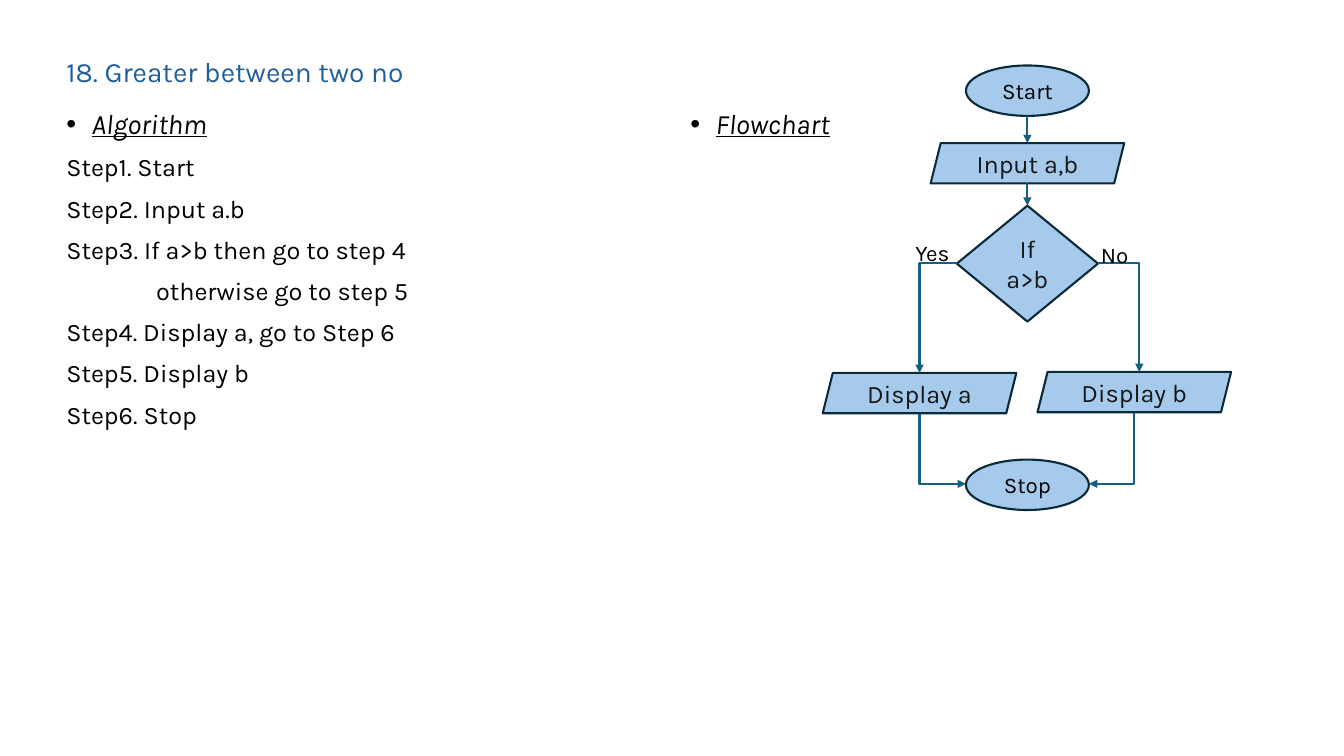
from dataclasses import dataclass

from lxml.etree import SubElement
from pptx import Presentation
from pptx.dml.color import RGBColor
from pptx.enum.shapes import MSO_CONNECTOR as Link, MSO_SHAPE as Shape
from pptx.enum.text import MSO_ANCHOR as Anchor, PP_ALIGN as Align
from pptx.oxml.ns import qn
from pptx.util import Inches, Pt


@dataclass(frozen=True)
class Theme:
    font: str = "Karla"
    title: str = "215F9A"
    text: str = "000000"
    node_text: str = "171717"
    fill: str = "A6CAEC"
    outline: str = "092A39"
    arrow: str = "156082"
    heading_size: int = 20
    body_size: int = 18
    label_size: int = 16
    line_width: float = 1.5


class FlowSlide:
    def __init__(self, slide, theme):
        self.slide = slide
        self.theme = theme

    def add_span(self, para, text, size, color, emphasis=False):
        span = para.add_run()
        span.text = text
        font = span.font
        font.name, font.size = self.theme.font, Pt(size)
        font.color.rgb = RGBColor.from_string(color)
        if emphasis:
            font.italic = font.underline = True

    def text_box(self, left, top, width, height, anchor=Anchor.TOP):
        box = self.slide.shapes.add_textbox(*map(Inches, (left, top, width, height)))
        frame = box.text_frame
        frame.word_wrap = True
        frame.vertical_anchor = anchor
        return frame

    def title(self, text, *place):
        para = self.text_box(*place, anchor=Anchor.MIDDLE).paragraphs[0]
        para.line_spacing = 0.9
        self.add_span(para, text, self.theme.heading_size, self.theme.title)

    def column(self, heading, steps, *place):
        """Bulleted heading above (text, left indent) steps."""
        frame = self.text_box(*place)
        para = frame.paragraphs[0]
        props = para._p.get_or_add_pPr()
        props.set("marL", str(Inches(0.25)))
        props.set("indent", str(Inches(-0.25)))
        SubElement(props, qn("a:buFont")).set("typeface", "Arial")
        SubElement(props, qn("a:buChar")).set("char", "•")
        para.line_spacing = 0.9
        self.add_span(para, heading, self.theme.heading_size, self.theme.text, emphasis=True)
        for text, indent in steps:
            para = frame.add_paragraph()
            para._p.get_or_add_pPr().set("marL", str(Inches(indent)))
            para.line_spacing = 0.9
            para.space_before = Pt(10)
            self.add_span(para, text, self.theme.body_size, self.theme.text)

    def label(self, text, *place):
        para = self.text_box(*place).paragraphs[0]
        self.add_span(para, text, self.theme.label_size, self.theme.text)

    def node(self, kind, text, left, top, width, height):
        theme = self.theme
        node = self.slide.shapes.add_shape(kind, *map(Inches, (left, top, width, height)))
        node.shadow.inherit = False
        node.fill.solid()
        node.fill.fore_color.rgb = RGBColor.from_string(theme.fill)
        node.line.color.rgb = RGBColor.from_string(theme.outline)
        node.line.width = Pt(theme.line_width)
        frame = node.text_frame
        frame.word_wrap = True
        frame.vertical_anchor = Anchor.MIDDLE
        para = frame.paragraphs[0]
        para.alignment = Align.CENTER
        if kind == Shape.OVAL:
            self.add_span(para, text, theme.label_size, theme.text)
        else:
            self.add_span(para, text, theme.body_size, theme.node_text)
        return node

    def arrow(self, start, end, kind=Link.STRAIGHT):
        arrow = self.slide.shapes.add_connector(kind, *map(Inches, (*start, *end)))
        arrow.line.color.rgb = RGBColor.from_string(self.theme.arrow)
        arrow.line.width = Pt(self.theme.line_width)
        properties = arrow._element.spPr
        SubElement(properties.find(qn("a:ln")), qn("a:tailEnd")).set("type", "triangle")
        SubElement(properties, qn("a:effectLst"))
        return arrow

    def elbow(self, start, end, turn=0, flip=None):
        """One-corner arrow; its unrotated frame is centred between the ends."""
        (x1, y1), (x2, y2) = start, end
        width, height = abs(x2 - x1), abs(y2 - y1)
        if turn in (90, 270):
            width, height = height, width
        left, top = (x1 + x2 - width) / 2, (y1 + y2 - height) / 2
        arrow = self.arrow((left, top), (left + width, top + height), Link.ELBOW)
        properties = arrow._element.spPr
        properties.find(qn("a:prstGeom")).set("prst", "bentConnector2")
        frame = properties.find(qn("a:xfrm"))
        if turn:
            frame.set("rot", str(turn * 60000))
        if flip:
            frame.set(flip, "1")


def main():
    deck = Presentation()
    deck.slide_width, deck.slide_height = Inches(13.33), Inches(7.5)
    page = FlowSlide(deck.slides.add_slide(deck.slide_layouts[6]), Theme())

    page.title("18. Greater between two no", 0.56, 0.4, 11.85, 0.66)
    steps = [
        ("Step1. Start", 0),
        ("Step2. Input a.b", 0),
        ("Step3. If a>b then go to step 4", 0),
        ("otherwise go to step 5", 0.89),
        ("Step4. Display a, go to Step 6", 0),
        ("Step5. Display b", 0),
        ("Step6. Stop", 0),
    ]
    page.column("Algorithm", steps, 0.56, 1.05, 6.02, 5.7)
    page.column("Flowchart", [], 6.75, 1.05, 5.67, 5.7)

    for text, top in (("Start", 0.65), ("Stop", 4.56)):
        page.node(Shape.OVAL, text, 9.58, top, 1.22, 0.5)
    decision = page.node(Shape.DIAMOND, "If a>b", 9.49, 2.04, 1.4, 1.15)
    for text, left, top in (
        ("Input a,b", 9.23, 1.42),
        ("Display a", 8.16, 3.7),
        ("Display b", 10.29, 3.69),
    ):
        page.node(Shape.PARALLELOGRAM, text, left, top, 1.92, 0.4)

    center = 10.19
    page.arrow((center, 1.15), (center, 1.42))
    page.arrow((center, 1.82), (center, 2.04)).end_connect(decision, 0)
    page.elbow((9.49, 2.61), (9.12, 3.7), turn=180, flip="flipV")
    page.elbow((10.89, 2.61), (11.3, 3.69))
    page.elbow((9.12, 4.11), (9.58, 4.8), turn=270, flip="flipH")
    page.elbow((11.25, 4.1), (10.8, 4.8), turn=90)

    page.label("Yes", 8.98, 2.32, 0.69, 0.37)
    page.label("No", 10.82, 2.34, 0.96, 0.37)
    deck.save("out.pptx")


if __name__ == "__main__":
    main()
